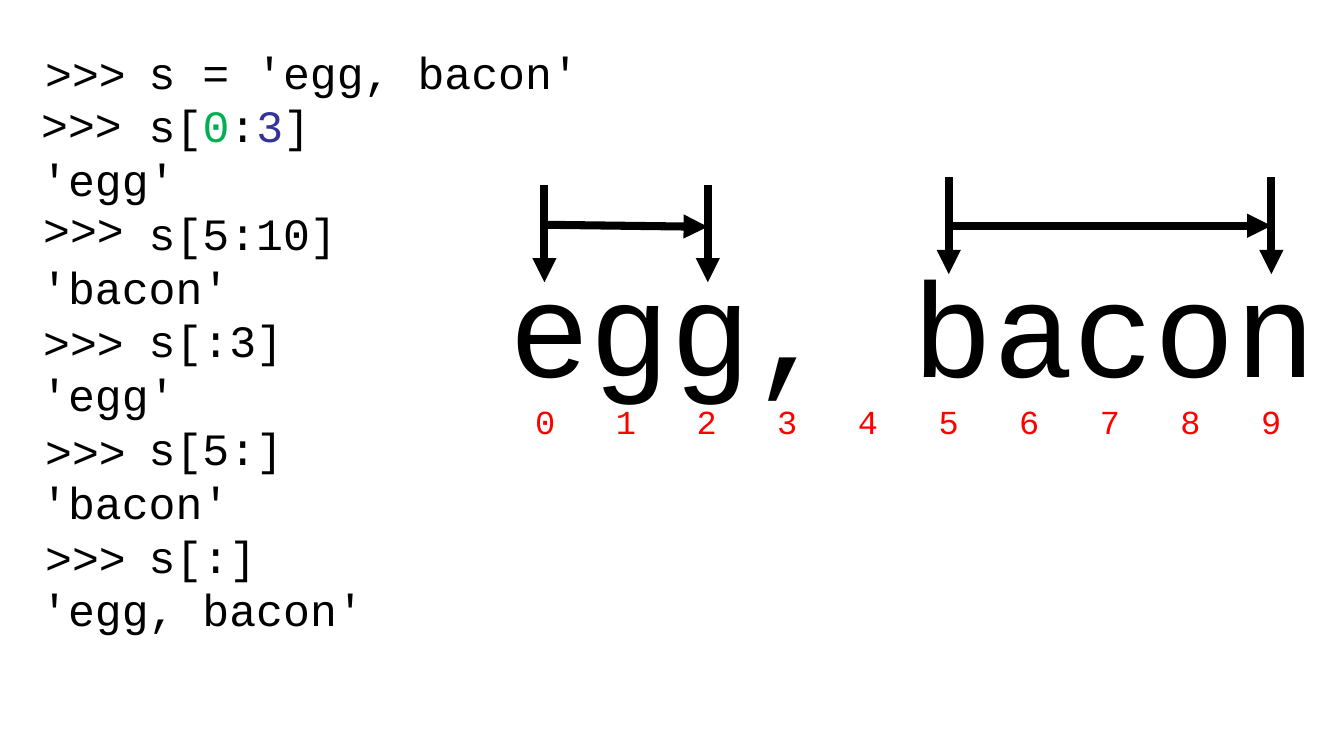
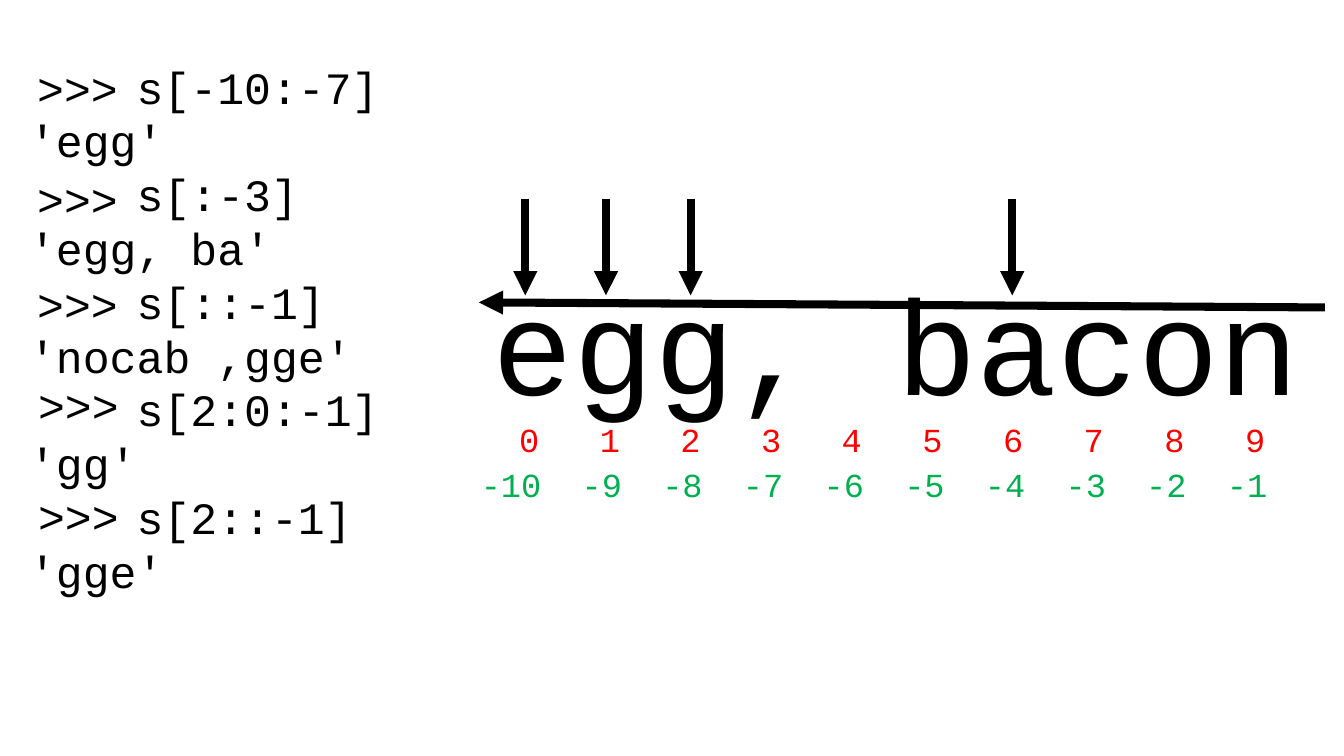
from lxml import etree
from pptx import Presentation
from pptx.dml.color import RGBColor
from pptx.enum.shapes import MSO_CONNECTOR as Link
from pptx.oxml.ns import qn
from pptx.util import Inches, Pt

FONT = "Courier New"
BLACK, RED, GREEN, BLUE = "000000", "FF0000", "00B050", "333399"
CODE, INDEX, WORD = 32, 24, 96
CHAR = 0.6 / 72  # advance of one character, inches per point of size
PROMPT = 4 * CHAR * CODE
STEP = CHAR * WORD


def rgb(code):
    return RGBColor.from_string(code)


def style(run, size, color):
    look = {"name": FONT, "size": Pt(size)}
    for key, val in look.items():
        setattr(run.font, key, val)
    run.font.color.rgb = rgb(color)


def frame(slide, x, y, w, h):
    text = slide.shapes.add_textbox(*map(Inches, (x, y, w, h))).text_frame
    text.word_wrap = True
    return text


def write(para, text, size, color=BLACK):
    run = para.add_run()
    run.text = text
    style(run, size, color)


def label(slide, box, text, size):
    write(frame(slide, *box).paragraphs[0], text, size)


def listing(slide, box, pairs):
    """Write each input, given as coloured parts, above its result."""
    text = frame(slide, *box)
    lines = []
    for parts, result in pairs:
        lines.append((parts, PROMPT))
        if result:
            lines.append(([(result, BLACK)], 0))
    for i, (parts, indent) in enumerate(lines):
        para = text.add_paragraph() if i else text.paragraphs[0]
        para._p.get_or_add_pPr().set("marL", str(Inches(indent)))
        for part, color in parts:
            write(para, part, CODE, color)


def prompts(slide, spots, width):
    for x, y in spots:
        label(slide, (x, y, width, 0.64), ">>>", CODE)


def indices(slide, box, text, start, color):
    """Set a row of numbers on tab stops one letter of the word apart."""
    para = frame(slide, *box).paragraphs[0]
    tabs = etree.SubElement(para._p.get_or_add_pPr(), qn("a:tabLst"))
    for i in range(text.count("\t")):
        tab = etree.SubElement(tabs, qn("a:tab"))
        tab.set("pos", str(Inches(start + i * STEP)))
        tab.set("algn", "l")
    write(para, text, INDEX, color)


def word(slide, x, y):
    """Draw the sliced string with its positive indices below."""
    label(slide, (x, y, 8.55, 1.72), "egg, bacon", WORD)
    row = "".join(f"\t{i}" for i in range(10))
    indices(slide, (x + 0.06, y + 1.57, 8.48, 0.5), row, CHAR * INDEX, RED)


def arrow(slide, *ends):
    line = slide.shapes.add_connector(Link.STRAIGHT, *map(Inches, ends))
    line.line.color.rgb = rgb(BLACK)
    line.line.width = Pt(5.75)
    tip = etree.SubElement(line.line._get_or_add_ln(), qn("a:tailEnd"))
    tip.set("type", "triangle")
    etree.SubElement(line._element.spPr, qn("a:effectLst"))


def drop(slide, x, y):
    arrow(slide, x, y, x, y + 0.96)


def plain(code, result):
    return [(code, BLACK)], result


def forward(slide):
    first = [("s[", BLACK), ("0", GREEN), (":", BLACK), ("3", BLUE),
             ("]", BLACK)]
    listing(slide, (0.31, 0.39, 9.34, 6.56), [
        plain("s = 'egg, bacon'", None),
        (first, "'egg'"),
        plain("s[5:10]", "'bacon'"),
        plain("s[:3]", "'egg'"),
        plain("s[5:]", "'bacon'"),
        plain("s[:]", "'egg, bacon'"),
    ])
    prompts(slide, [(0.35, 0.4), (0.31, 0.91), (0.33, 1.95),
                    (0.33, 3.07), (0.35, 4.15), (0.35, 5.21)], 1.02)
    word(slide, 4.95, 2.36)
    for left, right, top, y1, y2 in [(5.4, 7.02, 1.84, 2.23, 2.25),
                                     (9.41, 12.61, 1.76, 2.24, 2.24)]:
        drop(slide, left, top)
        drop(slide, right, top)
        arrow(slide, left, y1, right, y2)


def backward(slide):
    listing(slide, (0.19, 0.54, 9.34, 6.02), [
        plain("s[-10:-7]", "'egg'"),
        plain("s[:-3]", "'egg, ba'"),
        plain("s[::-1]", "'nocab ,gge'"),
        plain("s[2:0:-1]", "'gg'"),
        plain("s[2::-1]", "'gge'"),
    ])
    prompts(slide, [(0.27, 0.55), (0.27, 1.65), (0.27, 2.7),
                    (0.28, 3.7), (0.28, 4.8)], 1.04)
    word(slide, 4.79, 2.54)
    row = "\t".join(str(i) for i in range(-10, 0))
    indices(slide, (4.67, 4.55, 8.55, 0.5), row, 5 * CHAR * INDEX, GREEN)
    for x in (5.21, 6.01, 6.85, 10.04):
        drop(slide, x, 1.97)
    arrow(slide, 13.14, 3.05, 4.75, 3.0)


def main():
    deck = Presentation()
    deck.slide_width, deck.slide_height = Inches(13.33), Inches(7.5)
    blank = deck.slide_layouts[6]
    for build in (forward, backward):
        build(deck.slides.add_slide(blank))
    deck.save("out.pptx")


if __name__ == "__main__":
    main()
